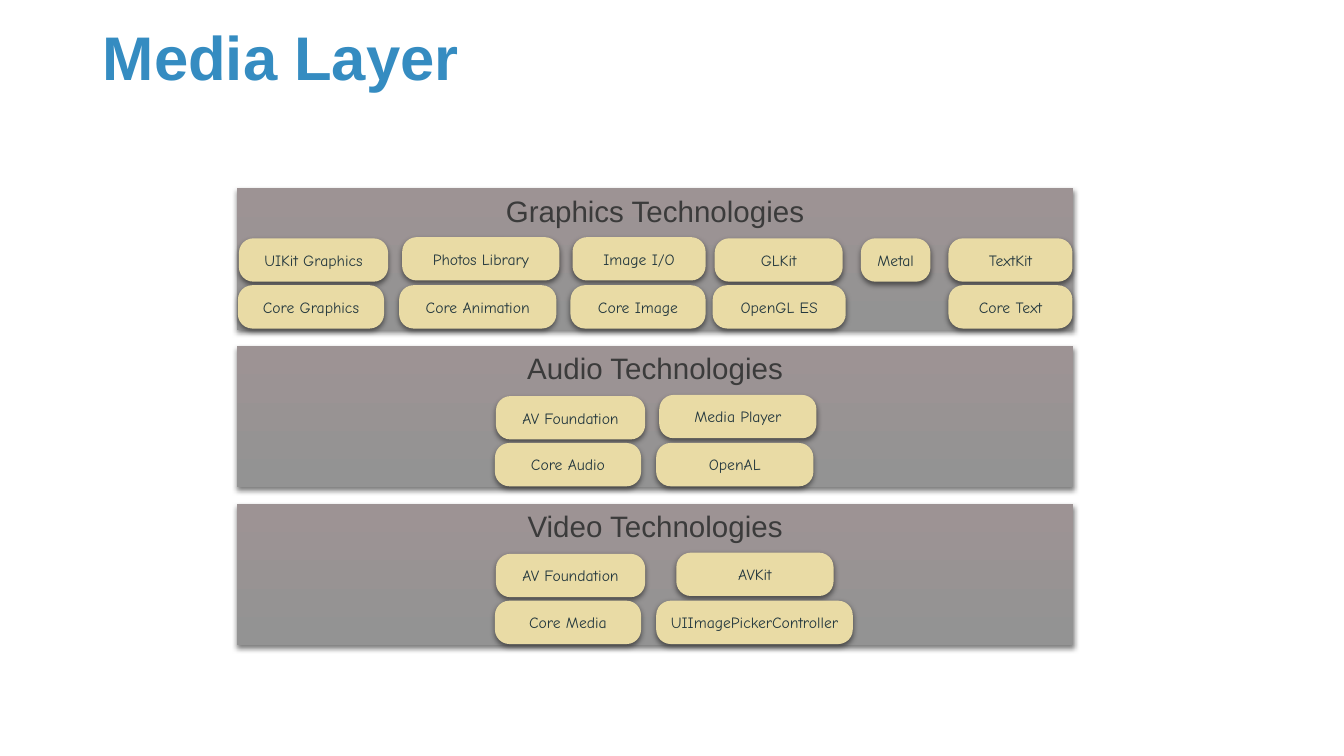
from lxml import etree
from pptx import Presentation
from pptx.dml.color import RGBColor
from pptx.enum.shapes import MSO_SHAPE as Preset
from pptx.enum.text import MSO_ANCHOR as Anchor, PP_ALIGN as Align
from pptx.oxml.ns import qn
from pptx.util import Inches, Pt

COLORS = {
    "title": "358CC1",
    "heading": "3B3B3B",
    "label": "24383E",
    "chip": "E9DBA5",
    "panel_top": "9D9394",
    "panel_bottom": "939393",
    "shadow": "000000",
}
CELL = 0.1
COLUMNS, ROWS = 133.33, 75
PANEL_LEFT, PANEL_TOP, PANEL_WIDTH, PANEL_HEIGHT = 23.5, 18.7, 83, 14
PANEL_PITCH = 15.65
CHIP_HEIGHT = 4.3
RAISED, UPPER, LOWER = 4.83, 4.95, 9.6

PANELS = [
    ("Graphics Technologies", [
        ("UIKit Graphics", 0.2, UPPER, 14.8),
        ("Photos Library", 16.4, RAISED, 15.6),
        ("Image I/O", 33.3, RAISED, 13.2),
        ("GLKit", 47.4, UPPER, 12.7),
        ("Metal", 61.9, UPPER, 6.9),
        ("TextKit", 70.6, UPPER, 12.3),
        ("Core Graphics", 0.1, LOWER, 14.5),
        ("Core Animation", 16.1, LOWER, 15.6),
        ("Core Image", 33.1, LOWER, 13.4),
        ("OpenGL ES", 47.2, LOWER, 13.2),
        ("Core Text", 70.6, LOWER, 12.3),
    ]),
    ("Audio Technologies", [
        ("AV Foundation", 25.7, UPPER, 14.8),
        ("Media Player", 41.9, RAISED, 15.6),
        ("Core Audio", 25.6, LOWER, 14.5),
        ("OpenAL", 41.6, LOWER, 15.6),
    ]),
    ("Video Technologies", [
        ("AV Foundation", 25.7, UPPER, 14.8),
        ("AVKit", 43.6, RAISED, 15.6),
        ("Core Media", 25.6, LOWER, 14.5),
        ("UIImagePickerController", 41.6, LOWER, 19.5),
    ]),
]


def cells(count):
    return Inches(count * CELL)


def color(name):
    return RGBColor.from_string(COLORS[name])


def write(shape, text, *, size, font, fill, bold=False, align=Align.CENTER,
          anchor=Anchor.MIDDLE, inset=0.0, spacing=None):
    frame = shape.text_frame
    frame.word_wrap = True
    frame.vertical_anchor = anchor
    frame.margin_left = frame.margin_right = Inches(inset)
    frame.margin_top = frame.margin_bottom = Inches(min(inset, 0.05))
    paragraph = frame.paragraphs[0]
    paragraph.alignment = align
    paragraph.line_spacing = spacing
    run = paragraph.add_run()
    run.text = text
    run.font.size = Pt(size)
    run.font.name = font
    run.font.bold = bold
    run.font.color.rgb = color(fill)


def add_shadow(shape):
    shape.shadow.inherit = False
    effects = shape.element.spPr.find(qn("a:effectLst"))
    shadow = etree.SubElement(effects, qn("a:outerShdw"), blurRad=str(Pt(4)),
                              dist=str(Pt(2)), dir="5400000", rotWithShape="0")
    tint = etree.SubElement(shadow, qn("a:srgbClr"), val=COLORS["shadow"])
    etree.SubElement(tint, qn("a:alpha"), val="50000")


def add_block(group, preset, left, top, width, height):
    shape = group.shapes.add_shape(preset, *map(cells, (left, top, width, height)))
    shape.line.fill.background()
    add_shadow(shape)
    return shape


def add_chip(group, text, left, top, width):
    chip = add_block(group, Preset.ROUNDED_RECTANGLE, left, top, width, CHIP_HEIGHT)
    chip.adjustments[0] = 0.335
    chip.fill.solid()
    chip.fill.fore_color.rgb = color("chip")
    write(chip, text, size=11.2, font="Comic Neue", fill="label")


def add_panel(slide, top, heading, chips):
    group = slide.shapes.add_group_shape()
    panel = add_block(group, Preset.RECTANGLE, PANEL_LEFT, top, PANEL_WIDTH, PANEL_HEIGHT)
    panel.fill.gradient()
    panel.fill.gradient_angle = 270
    for stop, name in zip(panel.fill.gradient_stops, ("panel_top", "panel_bottom")):
        stop.color.rgb = color(name)
    write(panel, heading, size=21.1, font="Arial", fill="heading",
          anchor=Anchor.TOP, inset=0.04)
    for text, left, row, width in chips:
        add_chip(group, text, PANEL_LEFT + left, top + row, width)


def add_title(slide, text):
    title = slide.shapes.title
    title.left, title.top, title.width, title.height = map(cells, (9.2, 2, 115, 8))
    write(title, text, size=44, font="Arial", fill="title", bold=True,
          align=Align.LEFT, inset=0.1, spacing=0.9)


def main():
    presentation = Presentation()
    presentation.slide_width = cells(COLUMNS)
    presentation.slide_height = cells(ROWS)
    slide = presentation.slides.add_slide(presentation.slide_layouts[5])
    add_title(slide, "Media Layer")
    for index, (heading, chips) in enumerate(PANELS):
        add_panel(slide, PANEL_TOP + index * PANEL_PITCH, heading, chips)
    presentation.save("out.pptx")


if __name__ == "__main__":
    main()
